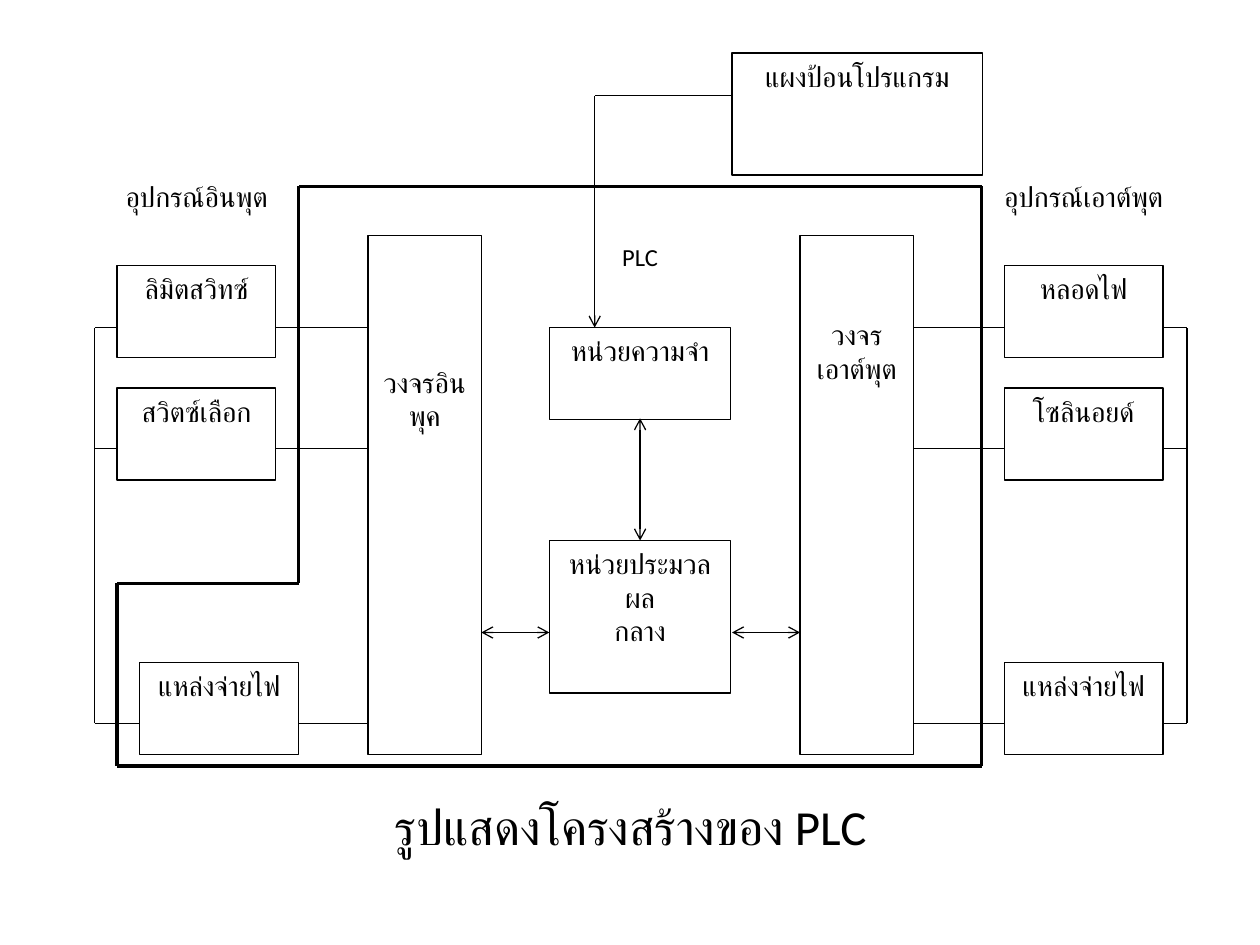
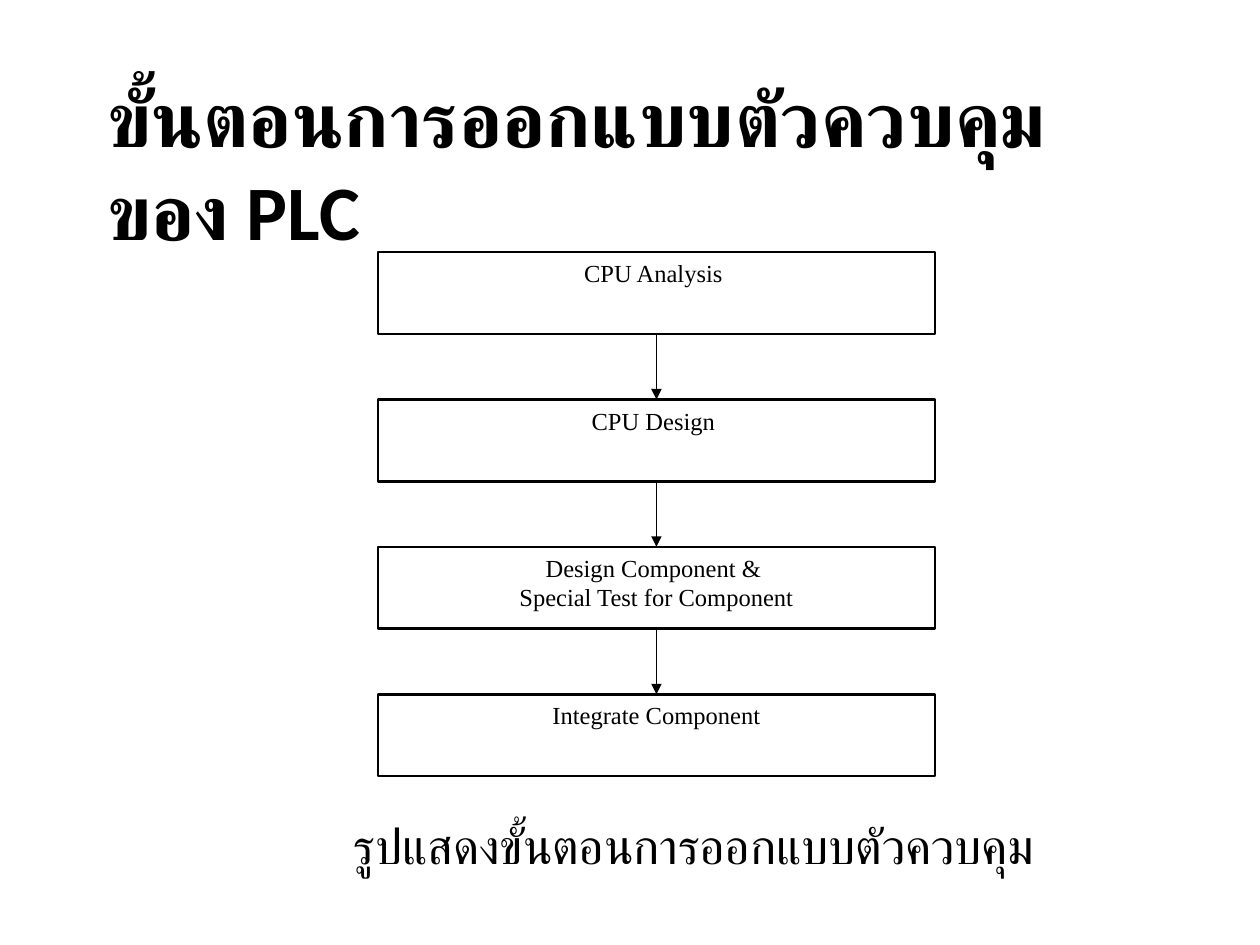
from lxml import etree
from pptx import Presentation
from pptx.dml.color import RGBColor
from pptx.enum.lang import MSO_LANGUAGE_ID
from pptx.enum.shapes import MSO_CONNECTOR, MSO_SHAPE
from pptx.enum.text import MSO_ANCHOR, MSO_AUTO_SIZE, PP_ALIGN
from pptx.oxml.ns import qn
from pptx.util import Inches, Pt

RECTANGLE, STRAIGHT = MSO_SHAPE.RECTANGLE, MSO_CONNECTOR.STRAIGHT
CENTER, LEFT = PP_ALIGN.CENTER, PP_ALIGN.LEFT
TOP, MIDDLE = MSO_ANCHOR.TOP, MSO_ANCHOR.MIDDLE
NO_FIT = MSO_AUTO_SIZE.NONE
THAI = MSO_LANGUAGE_ID.THAI

INK, PAPER = "000000", "FFFFFF"
SANS, SERIF = "Calibri", "Times New Roman"
TITLE_ONLY, BLANK = 5, 6
THIN, FRAME = 0.75, 2


def color(hex_code):
    return RGBColor.from_string(hex_code)


def write(shape, paragraphs, size, font=SANS, bold=False, align=CENTER,
          anchor=TOP, top_inset=0.05, wrap=True):
    """Fill a shape with paragraphs; a newline inside one is a line break."""
    frame = shape.text_frame
    frame.auto_size = NO_FIT
    frame.word_wrap = wrap
    frame.vertical_anchor = anchor
    frame.margin_left = frame.margin_right = Inches(0.1)
    frame.margin_top, frame.margin_bottom = Inches(top_inset), Inches(0.05)
    for index, text in enumerate(paragraphs):
        para = frame.add_paragraph() if index else frame.paragraphs[0]
        para.alignment = align
        for row, words in enumerate(text.split("\n")):
            if row:
                para.add_line_break()
            span = para.add_run()
            span.text = words
            span.font.size = Pt(size)
            span.font.bold = bold
            span.font.name = font
            span.font.language_id = THAI
            span.font.color.rgb = color(INK)
            # Thai letters take the complex-script font
            script_font = etree.SubElement(span.font._element, qn("a:cs"))
            script_font.set("typeface", font)


def add_box(page, place, paragraphs, size=16, line_width=THIN, **style):
    box = page.shapes.add_shape(RECTANGLE, *map(Inches, place))
    box.shadow.inherit = False
    box.fill.solid()
    box.fill.fore_color.rgb = color(PAPER)
    box.line.color.rgb = color(INK)
    box.line.width = Pt(line_width)
    write(box, paragraphs, size, **style)


def add_label(page, place, text, size=16, **style):
    label = page.shapes.add_textbox(*map(Inches, place))
    write(label, [text], size, **style)


def add_line(page, start, end, width=THIN, head=None, tail=None):
    line = page.shapes.add_connector(STRAIGHT, *map(Inches, (*start, *end)))
    line.line.color.rgb = color(INK)
    line.line.width = Pt(width)
    outline = line.line._get_or_add_ln()
    for tag, kind in (("a:headEnd", head), ("a:tailEnd", tail)):
        if kind:
            etree.SubElement(outline, qn(tag)).set("type", kind)
    etree.SubElement(line._element.spPr, qn("a:effectLst"))


def add_path(page, points, width=THIN, tail=None):
    """Join points with straight lines; only the last one takes the arrow."""
    for start, end in zip(points, points[1:]):
        add_line(page, start, end, width, tail=tail if end == points[-1] else None)


def add_caption(page, place, text, align=CENTER):
    add_label(page, place, text, 28, align=align, wrap=False)


def build_structure(deck):
    page = deck.slides.add_slide(deck.slide_layouts[BLANK])
    device_w, device_h = 1.26, 0.73
    device_tops = (2.11, 3.08, 5.26)
    wire_rows = (2.6, 3.56, 5.74)

    # Units inside the controller
    add_box(page, (4.36, 2.6, 1.44, 0.73), ["หน่วยความจำ"])
    add_box(page, (4.36, 4.29, 1.44, 1.21), ["หน่วยประมวลผล\nกลาง"], font=SERIF)
    add_box(page, (6.35, 1.87, 0.9, 4.12), ["วงจรเอาต์พุต"], top_inset=0.65)
    add_box(page, (2.92, 1.87, 0.9, 4.12), ["วงจรอินพุค"], font=SERIF, top_inset=1.03)
    add_label(page, (4.36, 1.87, 1.44, 0.48), "PLC", 14)

    # Two-way links between the units
    for start, end in (((5.08, 3.32), (5.08, 4.29)),
                       ((3.82, 5.02), (4.36, 5.02)),
                       ((5.81, 5.02), (6.35, 5.02))):
        add_line(page, start, end, head="arrow", tail="arrow")

    # Controller frame
    add_path(page, [(0.93, 6.08), (7.79, 6.08), (7.79, 1.48), (2.37, 1.48),
                    (2.37, 4.63), (0.93, 4.63), (0.93, 6.08)], FRAME)

    # Input and output devices, each side wired to a bus and to its circuit
    input_lefts, output_lefts = (0.93, 0.93, 1.11), (7.97,) * 3
    sides = (
        (input_lefts, ("ลิมิตสวิทซ์", "สวิตซ์เลือก", "แหล่งจ่ายไฟ"), 0.75, 2.92),
        (output_lefts, ("หลอดไฟ", "โซลินอยด์", "แหล่งจ่ายไฟ"), 9.42, 7.25),
    )
    for lefts, names, bus_x, circuit_x in sides:
        for left, top, row, name in zip(lefts, device_tops, wire_rows, names):
            add_box(page, (left, top, device_w, device_h), [name])
            near_edges = (left, left + device_w)
            if bus_x > circuit_x:
                near_edges = near_edges[::-1]
            add_line(page, (bus_x, row), (near_edges[0], row))
            add_line(page, (near_edges[1], row), (circuit_x, row))
        add_line(page, (bus_x, wire_rows[-1]), (bus_x, wire_rows[0]))
    add_label(page, (0.75, 1.38, 1.62, 0.73), "อุปกรณ์อินพุต")
    add_label(page, (7.79, 1.38, 1.62, 0.73), "อุปกรณ์เอาต์พุต")

    # Programming panel feeding the memory
    add_box(page, (5.81, 0.42, 1.99, 0.97), ["แผงป้อนโปรแกรม"])
    add_path(page, [(5.8, 0.76), (4.72, 0.76), (4.72, 2.6)], tail="arrow")

    add_caption(page, (2.95, 6.27, 4.11, 0.57), "รูปแสดงโครงสร้างของ PLC")


def build_design_steps(deck):
    page = deck.slides.add_slide(deck.slide_layouts[TITLE_ONLY])
    title = page.shapes.title
    title.left, title.top, title.width, title.height = map(
        Inches, (0.75, 0.67, 8.5, 1.25))
    write(title, ["ขั้นตอนการออกแบบตัวควบคุมของ PLC"], 44, bold=True,
          align=LEFT, anchor=MIDDLE)

    # Step boxes at an equal pitch, joined by arrows
    steps = (["CPU Analysis "], ["CPU Design "],
             ["Design Component & ", "Special Test for Component"],
             ["Integrate Component"])
    left, first_top, width, height, pitch = 3, 2, 4.42, 0.65, 1.17
    middle = left + width / 2
    for index, step in enumerate(steps):
        top = first_top + index * pitch
        add_box(page, (left, top, width, height), step, 14, 1.5, font=SERIF)
        if index:
            add_line(page, (middle, top - pitch + height), (middle, top), 1,
                     tail="triangle")

    add_caption(page, (2.71, 6.42, 5.6, 0.57),
                "รูปแสดงขั้นตอนการออกแบบตัวควบคุม", LEFT)


def main():
    deck = Presentation()
    deck.slide_width, deck.slide_height = Inches(10), Inches(7.5)
    build_structure(deck)
    build_design_steps(deck)
    deck.save("out.pptx")


if __name__ == "__main__":
    main()
